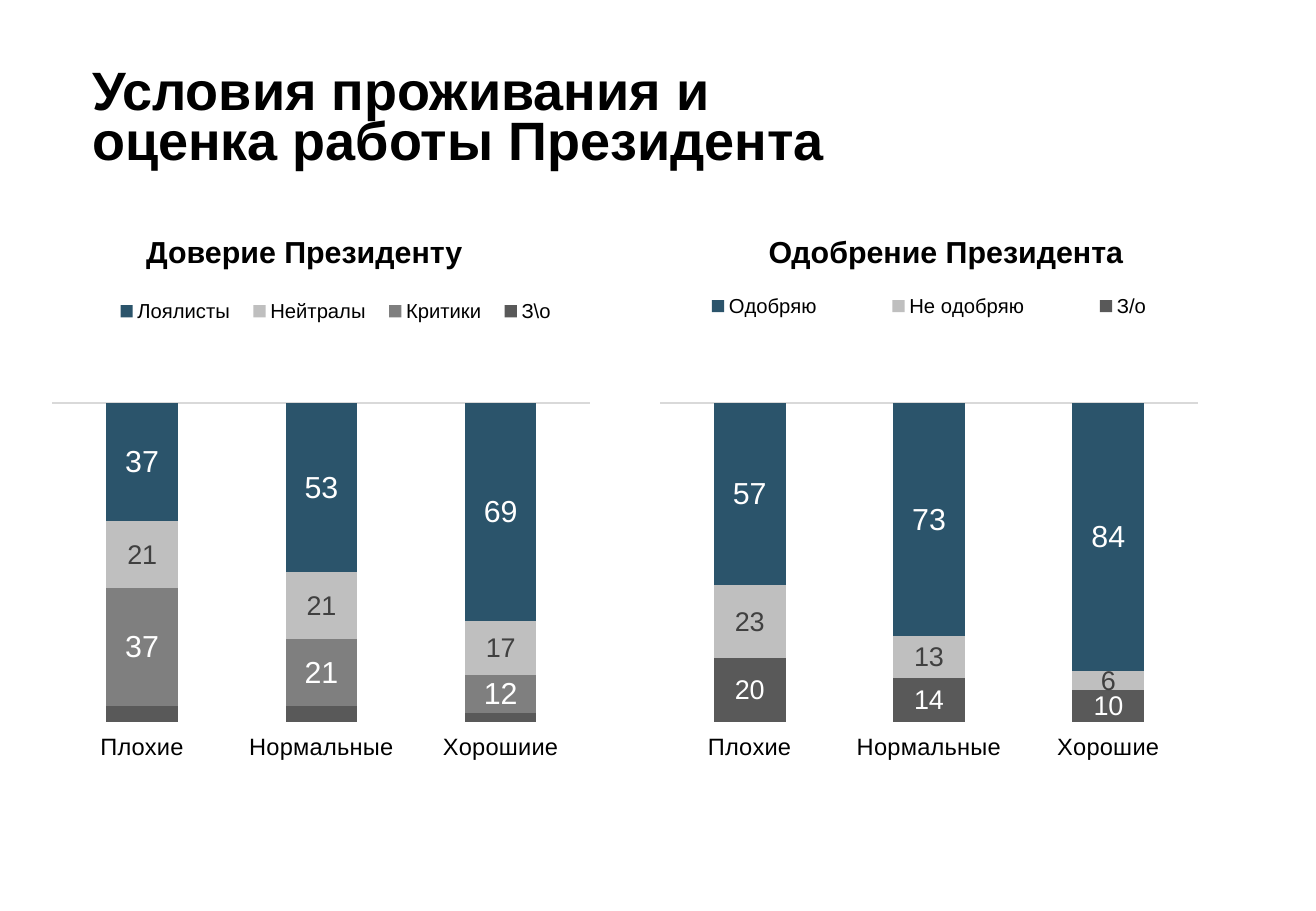
from lxml import etree
from pptx import Presentation
from pptx.chart.data import CategoryChartData
from pptx.dml.color import RGBColor
from pptx.enum.chart import (XL_CHART_TYPE, XL_LABEL_POSITION, XL_LEGEND_POSITION,
                             XL_TICK_LABEL_POSITION, XL_TICK_MARK)
from pptx.enum.text import MSO_ANCHOR, PP_ALIGN
from pptx.oxml.ns import qn
from pptx.util import Inches, Pt

SLIDE_W, SLIDE_H = Inches(10.83), Inches(7.5)
FONT = "Arial"
BLACK = RGBColor(0x00, 0x00, 0x00)
WHITE = RGBColor(0xFF, 0xFF, 0xFF)
DARK_TEXT = RGBColor(0x40, 0x40, 0x40)
BLUE = RGBColor(0x2B, 0x54, 0x6B)
LIGHT = RGBColor(0xBF, 0xBF, 0xBF)
MIDDLE = RGBColor(0x7F, 0x7F, 0x7F)
DARK = RGBColor(0x59, 0x59, 0x59)
AXIS_LINE = RGBColor(0xD9, 0xD9, 0xD9)

STACKED = XL_CHART_TYPE.COLUMN_STACKED_100
BOTTOM = XL_LEGEND_POSITION.BOTTOM
LABELS_HIGH = XL_TICK_LABEL_POSITION.HIGH
NO_TICK = XL_TICK_MARK.NONE
CENTRED = XL_LABEL_POSITION.CENTER
MIDDLE_ANCHOR = MSO_ANCHOR.MIDDLE
LEFT, CENTER = PP_ALIGN.LEFT, PP_ALIGN.CENTER

# Left, top, width and height in percent of the slide
TITLE_AREA = (6.09, 7.87, 60.11, 10.8)
HEADING_TOP, HEADING_W, HEADING_H = 21.07, 41.46, 12.4
CHART_TOP, CHART_W, CHART_H = 29.87, 43.49, 57.47
PLOT_AREA = (0.03, 0.25, 0.94, 0.61)  # shares of the chart

# Series: name, values, fill, label size, label colour (no size, no labels)
PANELS = [
    dict(heading="Доверие Президенту", heading_left=2.4, chart_left=2.68,
         legend_area=(0.12, 0.04, 0.81, 0.07),
         conditions=["Хорошиие", "Нормальные", "Плохие"],
         answers=[("Лоялисты", (69, 53, 37), BLUE, 18, WHITE),
                  ("Нейтралы", (17, 21, 21), LIGHT, 16, DARK_TEXT),
                  ("Критики", (12, 21, 37), MIDDLE, 18, WHITE),
                  ("З\\о", (3, 5, 5), DARK, None, None)]),
    dict(heading="Одобрение Президента", heading_left=51.15, chart_left=48.85,
         legend_area=(0, 0.03, 1, 0.07),
         conditions=["Хорошие", "Нормальные", "Плохие"],
         answers=[("Одобряю", (84, 73, 57), BLUE, 18, WHITE),
                  ("Не одобряю", (6, 13, 23), LIGHT, 16, DARK_TEXT),
                  ("З/о", (10, 14, 20), DARK, 16, WHITE)]),
]


def to_slide(left, top, width, height):
    """Turn percent of the slide into lengths."""
    return (int(SLIDE_W * left / 100), int(SLIDE_H * top / 100),
            int(SLIDE_W * width / 100), int(SLIDE_H * height / 100))


def set_font(font, size, color, bold=False):
    font.name, font.size, font.bold = FONT, Pt(size), bold
    font.color.rgb = color


def add_heading(slide, area, text, size, spacing, align):
    frame = slide.shapes.add_textbox(*to_slide(*area)).text_frame
    frame.word_wrap = True
    frame.vertical_anchor = MIDDLE_ANCHOR
    paragraph = frame.paragraphs[0]
    paragraph.alignment = align
    paragraph.line_spacing = Pt(spacing)
    run = paragraph.add_run()
    run.text = text
    set_font(run.font, size, BLACK, bold=True)


def place_in_chart(parent, index, area, inner=False):
    """Give a plot area or legend a fixed place, in shares of the chart."""
    for old in parent.findall(qn("c:layout")):
        parent.remove(old)
    layout = etree.Element(qn("c:layout"))
    manual = etree.SubElement(layout, qn("c:manualLayout"))
    settings = [("layoutTarget", "inner")] if inner else []
    settings += [("xMode", "edge"), ("yMode", "edge")]
    settings += zip("xywh", area)
    for tag, value in settings:
        etree.SubElement(manual, qn("c:" + tag)).set("val", str(value))
    parent.insert(index, layout)


def style_axes(chart):
    conditions = chart.category_axis
    conditions.reverse_order = True
    conditions.major_tick_mark = conditions.minor_tick_mark = NO_TICK
    conditions.tick_label_position = LABELS_HIGH
    conditions.format.line.color.rgb = AXIS_LINE
    conditions.format.line.width = Pt(0.75)
    set_font(conditions.tick_labels.font, 14, BLACK)
    shares = chart.value_axis
    shares.reverse_order = True
    shares.has_major_gridlines = False
    shares.visible = False


def style_answer(series, fill, label_size, label_color):
    series.format.fill.solid()
    series.format.fill.fore_color.rgb = fill
    if label_size:
        labels = series.data_labels
        labels.show_value = True
        labels.number_format, labels.number_format_is_linked = "0", False
        labels.position = CENTRED
        set_font(labels.font, label_size, label_color)


def add_answer_chart(slide, area, conditions, answers, legend_area):
    data = CategoryChartData(number_format="0")
    data.categories = conditions
    for name, values, *_ in answers:
        data.add_series(name, values)
    chart = slide.shapes.add_chart(STACKED, *to_slide(*area), data).chart
    chart.has_title = False
    set_font(chart.font, 10, BLACK)
    plot = chart.plots[0]
    plot.gap_width, plot.overlap = 150, 100
    plot.vary_by_categories = False
    for series, (_, _, *style) in zip(plot.series, answers):
        style_answer(series, *style)
    style_axes(chart)
    chart.has_legend = True
    chart.legend.position = BOTTOM
    chart.legend.include_in_layout = False
    set_font(chart.legend.font, 12, BLACK)
    root = chart.element if hasattr(chart, "element") else chart._chartSpace
    place_in_chart(root.find(".//" + qn("c:plotArea")), 0, PLOT_AREA, inner=True)
    place_in_chart(root.find(".//" + qn("c:legend")), 1, legend_area)


def main():
    prs = Presentation()
    prs.slide_width, prs.slide_height = SLIDE_W, SLIDE_H
    slide = prs.slides.add_slide(prs.slide_layouts[6])
    add_heading(slide, TITLE_AREA, "Условия проживания и оценка работы Президента",
                32, 30, LEFT)
    for panel in PANELS:
        add_answer_chart(slide, (panel["chart_left"], CHART_TOP, CHART_W, CHART_H),
                         panel["conditions"], panel["answers"], panel["legend_area"])
        add_heading(slide, (panel["heading_left"], HEADING_TOP, HEADING_W, HEADING_H),
                    panel["heading"], 18, 25, CENTER)
    prs.save("out.pptx")


if __name__ == "__main__":
    main()
